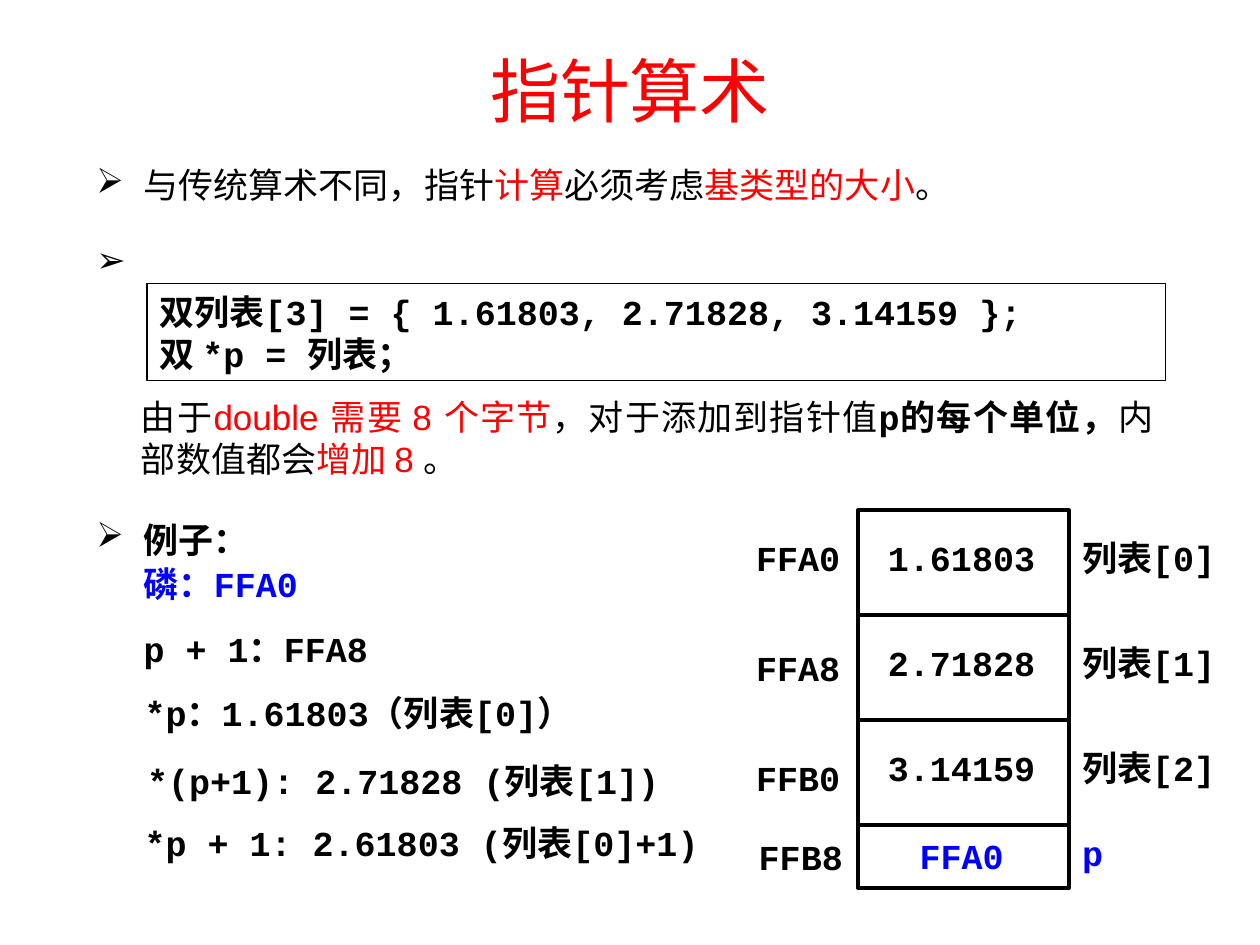
from dataclasses import dataclass
from typing import NamedTuple

from lxml.etree import SubElement
from pptx import Presentation
from pptx.dml.color import RGBColor
from pptx.enum.shapes import MSO_CONNECTOR as Connector, MSO_SHAPE as Shape
from pptx.enum.text import MSO_ANCHOR as Anchor, MSO_AUTO_SIZE as AutoSize, PP_ALIGN as Align
from pptx.oxml.ns import qn
from pptx.util import Pt

COLORS = {"black": "000000", "red": "FF0000", "blue": "0000FF", "white": "FFFFFF"}
SANS, MONO, SERIF = "Arial", "Courier New", "Times New Roman"
BULLET, HANGING = "➢", 27


class Box(NamedTuple):
    left: float
    top: float
    width: float
    height: float


class Piece(NamedTuple):
    text: str
    color: str = "black"
    font: str = SANS
    bold: bool = False
    size: float = 20


@dataclass
class MemoryRow:
    address: str
    address_left: float
    address_top: float
    value: str
    name: str
    height: float = 60
    value_offset: float = 11.5
    name_offset: float = 11.5
    color: str = "black"


def rgb(color: str) -> RGBColor:
    return RGBColor.from_string(COLORS[color])


def code(text: str, color: str = "black") -> Piece:
    return Piece(text, color, MONO, True)


def write(paragraph, pieces: list[Piece], align=Align.LEFT, after: float = 12) -> None:
    paragraph.alignment = align
    paragraph.space_after = Pt(after)
    for piece in pieces:
        run = paragraph.add_run()
        run.text = piece.text
        run.font.name = piece.font
        run.font.size = Pt(piece.size)
        run.font.bold = piece.bold
        run.font.color.rgb = rgb(piece.color)


def add_text(slide, box: Box, pieces: list[Piece], align=Align.LEFT, after: float = 12):
    frame = slide.shapes.add_textbox(*map(Pt, box)).text_frame
    frame.word_wrap = True
    write(frame.paragraphs[0], pieces, align, after)
    return frame


def add_bullet(paragraph) -> None:
    properties = paragraph._p.get_or_add_pPr()
    properties.set("marL", str(Pt(HANGING)))
    properties.set("indent", str(-Pt(HANGING)))
    SubElement(properties, qn("a:buChar")).set("char", BULLET)


def add_rectangle(slide, box: Box, line_width: float):
    rectangle = slide.shapes.add_shape(Shape.RECTANGLE, *map(Pt, box))
    rectangle.shadow.inherit = False
    rectangle.fill.background()
    rectangle.line.color.rgb = rgb("black")
    rectangle.line.width = Pt(line_width)
    return rectangle


def add_divider(slide, left: float, right: float, y: float) -> None:
    divider = slide.shapes.add_connector(Connector.STRAIGHT, Pt(left), Pt(y), Pt(right), Pt(y))
    divider.line.color.rgb = rgb("black")
    divider.line.width = Pt(2.25)
    SubElement(divider._element.spPr, qn("a:effectLst"))


def add_declarations(slide) -> None:
    panel = add_rectangle(slide, Box(84, 162, 582, 55.5), 0.75)
    panel.fill.solid()
    panel.fill.fore_color.rgb = rgb("white")
    frame = panel.text_frame
    frame.word_wrap = True
    frame.vertical_anchor = Anchor.MIDDLE
    frame.auto_size = AutoSize.SHAPE_TO_FIT_TEXT
    write(frame.paragraphs[0], [code("双列表[3] = { 1.61803, 2.71828, 3.14159 };")], after=0)
    write(frame.add_paragraph(), [code("双 *p = 列表；")], after=0)


def add_memory(slide, rows: list[MemoryRow]) -> None:
    """Draw the stacked memory cells with addresses on the left and names on the right."""
    left, top, width = 490.3, 291.6, 120.4
    add_rectangle(slide, Box(left, top, width, sum(row.height for row in rows)), 2.25)
    y = top
    for row in rows:
        if y > top:
            add_divider(slide, left, left + width, y)
        add_text(slide, Box(row.address_left, row.address_top, 66, 36), [code(row.address)])
        add_text(slide, Box(left - 1, y + row.value_offset, width, 36),
                 [code(row.value, row.color)], Align.CENTER)
        add_text(slide, Box(left + width + 0.5, y + row.name_offset, 99, 36),
                 [code(row.name, row.color)])
        y += row.height


def main() -> None:
    deck = Presentation()
    deck.slide_width, deck.slide_height = Pt(720), Pt(540)
    slide = deck.slides.add_slide(deck.slide_layouts[6])

    title = add_text(slide, Box(0, 6, 720, 90),
                     [Piece("指针算术", "red", SERIF, size=40)], Align.CENTER, 0)
    title.vertical_anchor = Anchor.MIDDLE

    points = add_text(slide, Box(48, 90, 634, 60), [
        Piece("与传统算术不同，指针"), Piece("计算", "red"), Piece("必须考虑"),
        Piece("基类型的大小", "red"), Piece("。"),
    ], Align.JUSTIFY)
    add_bullet(points.paragraphs[0])
    lone_mark = points.add_paragraph()
    write(lone_mark, [Piece(BULLET)])
    lone_mark.space_before = Pt(6)

    add_declarations(slide)
    add_text(slide, Box(73.5, 222.5, 592.5, 60), [
        Piece("由于"), Piece("double 需要 8 个字节", "red"), Piece("，对于添加到指针值"),
        code("p的每个单位，"), Piece("内部数值都会"), Piece("增加 8 ", "red"), Piece("。"),
    ], Align.JUSTIFY)

    example = add_text(slide, Box(48, 292.5, 246, 39), [code("例子：")])
    add_bullet(example.paragraphs[0])
    results = [
        (75, 318, "磷：FFA0", "blue"),
        (75, 355, "p + 1：FFA8", "black"),
        (75.5, 391.5, "*p：1.61803（列表[0]）", "black"),
        (77, 430.5, "*(p+1): 2.71828 (列表[1])", "black"),
        (75.5, 466, "*p + 1: 2.61803 (列表[0]+1)", "black"),
    ]
    for left, top, text, color in results:
        add_text(slide, Box(left, top, 350, 39), [code(text, color)])

    add_memory(slide, [
        MemoryRow("FFA0", 425, 303, "1.61803", "列表[0]"),
        MemoryRow("FFA8", 425, 366, "2.71828", "列表[1]"),
        MemoryRow("FFB0", 425, 429, "3.14159", "列表[2]"),
        MemoryRow("FFB8", 426.5, 474, "FFA0", "p", 36, 2, 0, "blue"),
    ])
    deck.save("out.pptx")


if __name__ == "__main__":
    main()
